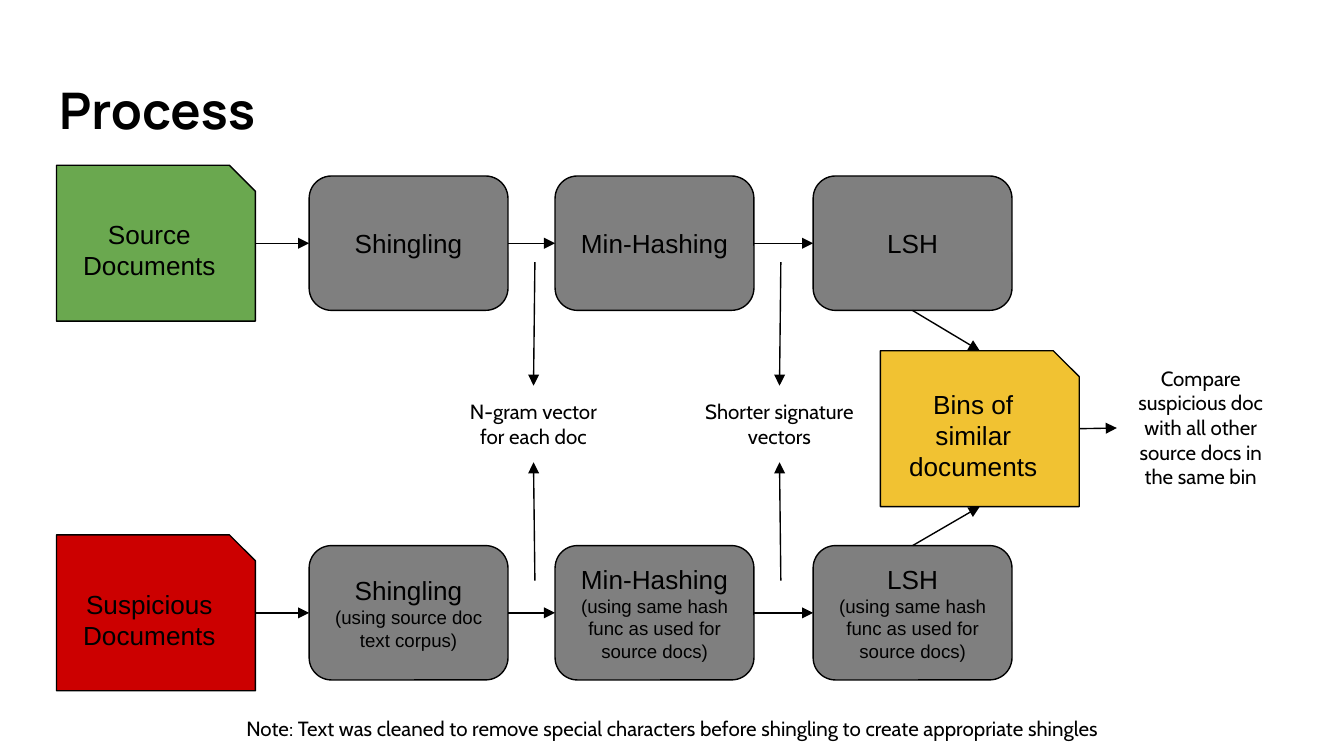
"""Build the document-similarity process slide."""
from lxml import etree
from pptx import Presentation
from pptx.dml.color import RGBColor
from pptx.enum import shapes, text
from pptx.oxml.ns import qn
from pptx.util import Inches, Pt

BLACK = RGBColor(0x00, 0x00, 0x00)
GRAY = RGBColor(0x7F, 0x7F, 0x7F)
GREEN = RGBColor(0x6A, 0xA8, 0x4F)
RED = RGBColor(0xCC, 0x00, 0x00)
YELLOW = RGBColor(0xF1, 0xC2, 0x32)

BOX_W, STEP_H, DOC_H = 1.48, 1, 1.16
STEP_X = (2.3, 4.13, 6.05)
ROUND = shapes.MSO_SHAPE.ROUNDED_RECTANGLE
SNIP = shapes.MSO_SHAPE.SNIP_1_RECTANGLE
TOP, LEFT, BOTTOM, RIGHT = range(4)


def write(sp, lines, font, sizes, align=text.PP_ALIGN.CENTER, anchor=text.MSO_ANCHOR.MIDDLE):
    tf = sp.text_frame
    tf.word_wrap = True
    tf.auto_size = text.MSO_AUTO_SIZE.NONE
    tf.vertical_anchor = anchor
    tf.margin_left = tf.margin_right = tf.margin_top = tf.margin_bottom = Inches(0.1)
    tf.text = "\n".join(lines)
    for p, size in zip(tf.paragraphs, sizes):
        p.alignment = align
        p.font.name, p.font.size, p.font.color.rgb = font, Pt(size), BLACK


def arrow(x1=0, y1=0, x2=0, y2=0, begin=None, end=None):
    c = s.shapes.add_connector(shapes.MSO_CONNECTOR.STRAIGHT, *map(Inches, (x1, y1, x2, y2)))
    if begin:
        c.begin_connect(*begin)
    if end:
        c.end_connect(*end)
    c.line.color.rgb, c.line.width = BLACK, Pt(0.75)
    etree.SubElement(c.line._get_or_add_ln(), qn("a:tailEnd"), type="triangle")
    etree.SubElement(c._element.spPr, qn("a:effectLst"))


prs = Presentation()
prs.slide_width, prs.slide_height = Inches(10), Inches(10 * 9 / 16)
s = prs.slides.add_slide(prs.slide_layouts[5])

title = s.shapes.title
title.left, title.top, title.width, title.height = map(Inches, (0.34, 0.49, 9.32, 0.68))
write(title, ["Process"], "Manrope", [27], text.PP_ALIGN.LEFT, text.MSO_ANCHOR.TOP)
title.text_frame.paragraphs[0].font.bold = True

same_hash = "(using same hash func as used for source docs)"
boxes = [
    ("source", SNIP, 0.42, 1.23, GREEN, ["Source Documents"]),
    ("suspicious", SNIP, 0.42, 3.98, RED, ["Suspicious Documents"]),
    ("bins", SNIP, 6.55, 2.61, YELLOW, ["Bins of similar documents"]),
]
steps = [
    ("Shingling", "(using source doc text corpus)"),
    ("Min-Hashing", same_hash),
    ("LSH", same_hash),
]
for x, (name, detail) in zip(STEP_X, steps):
    boxes.append(("source " + name, ROUND, x, 1.31, GRAY, [name]))
    boxes.append(("suspicious " + name, ROUND, x, 4.06, GRAY, [name, detail]))

placed = {}
for key, kind, x, y, color, lines in boxes:
    height = DOC_H if kind == SNIP else STEP_H
    sp = s.shapes.add_shape(kind, *map(Inches, (x, y, BOX_W, height)))
    sp.shadow.inherit = False
    sp.fill.solid()
    sp.fill.fore_color.rgb = color
    sp.line.color.rgb, sp.line.width = BLACK, Pt(0.75)
    write(sp, lines, "Arial", (14, 10))
    placed[key] = sp

bins = placed["bins"]
for row, out_side, bin_side in (("source", BOTTOM, TOP), ("suspicious", TOP, BOTTOM)):
    chain = [placed[row]] + [placed[f"{row} {name}"] for name, _ in steps]
    for a, b in zip(chain, chain[1:]):
        arrow(begin=(a, RIGHT), end=(b, LEFT))
    arrow(begin=(chain[-1], out_side), end=(bins, bin_side))

notes = [
    (3.3, 2.87, 1.34, 0.57, "N-gram vector for each doc"),
    (5.13, 2.87, 1.34, 0.57, "Shorter signature vectors"),
    (8.31, 2.62, 1.25, 1.13, "Compare suspicious doc with all other source docs in the same bin"),
    (1.2, 5.23, 7.61, 0.39, "Note: Text was cleaned to remove special characters "
                            "before shingling to create appropriate shingles"),
]
note_boxes = []
for x, y, w, h, words in notes:
    tb = s.shapes.add_textbox(*map(Inches, (x, y, w, h)))
    write(tb, [words], "Cabin", [11], anchor=text.MSO_ANCHOR.TOP)
    note_boxes.append(tb)

ngram, signature, compare, _ = note_boxes
for x, note in ((3.98, ngram), (5.81, signature)):
    arrow(x, 1.95, end=(note, TOP))
    arrow(x, 4.32, end=(note, BOTTOM))
arrow(begin=(bins, RIGHT), end=(compare, LEFT))

prs.save("out.pptx")
